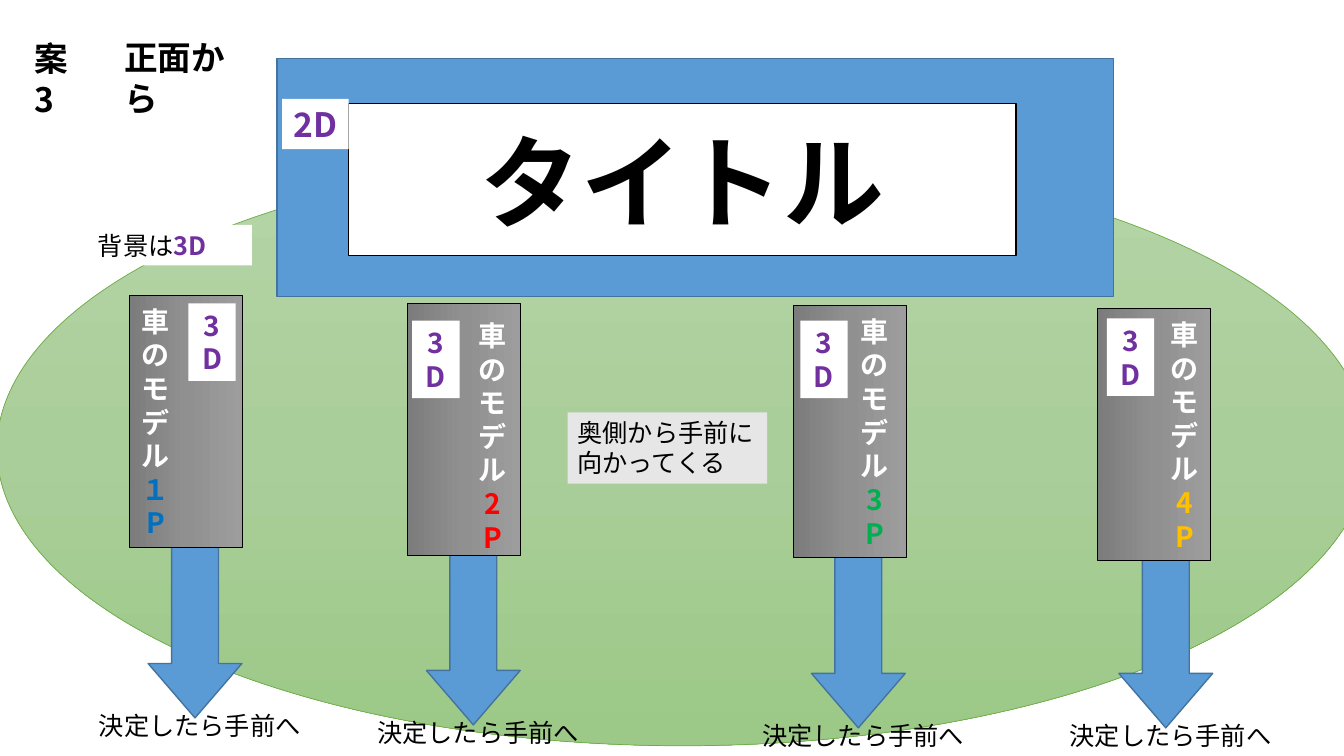
from lxml import etree
from pptx import Presentation
from pptx.dml.color import RGBColor
from pptx.enum import shapes, text
from pptx.oxml.ns import qn
from pptx.util import Pt

FONT = "Noto Sans CJK JP"
BLACK, WHITE, PURPLE = "000000", "FFFFFF", "7030A0"
BLUE, BLUE_EDGE = "5B9BD5", "43739E"
LEFT, CENTER = text.PP_ALIGN.LEFT, text.PP_ALIGN.CENTER
KIND = shapes.MSO_SHAPE


def draw(kind, left, top, width, height, fills, edge=None, weight=1):
    """Add a preset shape; several fills make a gradient from top to bottom."""
    shape = slide.shapes.add_shape(kind, Pt(left), Pt(top), Pt(width), Pt(height))
    shape.shadow.inherit = False
    if len(fills) == 1:
        shape.fill.solid()
        shape.fill.fore_color.rgb = RGBColor.from_string(fills[0])
    else:
        shape.fill.gradient()
        shape.fill.gradient_angle = 270
        stops = shape.fill._fill._gradFill.find(qn("a:gsLst"))
        for stop in list(stops):
            stops.remove(stop)
        for i, value in enumerate(fills):
            position = str(100000 * i // (len(fills) - 1))
            stop = etree.SubElement(stops, qn("a:gs"), pos=position)
            etree.SubElement(stop, qn("a:srgbClr"), val=value)
    if edge:
        shape.line.color.rgb = RGBColor.from_string(edge)
        shape.line.width = Pt(weight)
    else:
        shape.line.fill.background()
    return shape


def write(shape, lines, size, color=BLACK, bold=False, align=CENTER,
          anchor=text.MSO_ANCHOR.TOP, accent=None):
    """Fill a shape with text; accent is a bold (text, colour) ending."""
    frame = shape.text_frame
    frame.word_wrap = True
    frame.auto_size = text.MSO_AUTO_SIZE.NONE
    frame.vertical_anchor = anchor
    frame.text = lines
    for paragraph in frame.paragraphs:
        paragraph.alignment = align
        paragraph.line_spacing = 1.0
        paragraph.space_before = Pt(0)
        font = paragraph.font
        font.size, font.bold, font.name = Pt(size), bold, FONT
        font.color.rgb = RGBColor.from_string(color)
        latin = paragraph._p.find(".//" + qn("a:latin"))
        latin.addnext(latin.makeelement(qn("a:ea"), typeface=FONT))
    if accent:
        ending = frame.paragraphs[-1].add_run()
        ending.text = accent[0]
        ending.font.bold = True
        ending.font.color.rgb = RGBColor.from_string(accent[1])


deck = Presentation()
deck.slide_width, deck.slide_height = Pt(960), Pt(540)
slide = deck.slides.add_slide(deck.slide_layouts[5])

# Heading: plan number and viewpoint, each wrapping in a narrow box
viewpoint = slide.shapes.title
viewpoint.left, viewpoint.top = Pt(81.4), Pt(23)
viewpoint.width, viewpoint.height = Pt(107.3), Pt(36)
plan = slide.shapes.add_textbox(Pt(17.3), Pt(23.8), Pt(55.4), Pt(36))
for heading, words in ((viewpoint, "正面から"), (plan, "案3")):
    write(heading, words, 24, bold=True, align=LEFT)
    heading.text_frame.margin_right = Pt(16)

# Ground, title board and notes
draw(KIND.OVAL, -2.2, 108.7, 980, 424, ["B5D5A7", "AACE9A", "9CC987"], "70AD47", 0.5)
draw(KIND.RECTANGLE, 198, 41.6, 597.6, 170, [BLUE], BLUE_EDGE)
board = draw(KIND.RECTANGLE, 249.1, 74, 476.6, 108.7, [WHITE], BLACK)
write(board, "タイトル", 72, bold=True, anchor=text.MSO_ANCHOR.MIDDLE)
board_badge = draw(KIND.RECTANGLE, 201.6, 70.6, 47.5, 36, [WHITE])
write(board_badge, "2D", 24, PURPLE, True)
motion = draw(KIND.RECTANGLE, 405.4, 294.5, 142.6, 51, ["E7E6E6"])
write(motion, "奥側から手前に\n向かってくる", 18, align=LEFT)
backdrop = draw(KIND.RECTANGLE, 37.4, 160.6, 142.6, 29, [WHITE])
write(backdrop, "背景は", 18, accent=("3D", PURPLE))

# player, colour, then (left, top) of arrow, car, car name and 3D badge
players = [
    ("１P", "0070C0", (77, 417), (42.5, 260.6), (93.6, 213.8), (134.6, 216.7)),
    ("2P", "FF0000", (275.8, 422), (241.2, 266.4), (334.1, 223.9), (294.5, 229)),
    ("3P", "00B050", (550.8, 424.1), (517, 267.8), (607, 221), (571.7, 229)),
    ("4P", "FFC000", (770.4, 424.1), (734.4, 270), (828.7, 223.2), (790.6, 227.5)),
]
for player, color, arrow_at, car_at, name_at, badge_at in players:
    arrow = draw(KIND.RIGHT_ARROW, *arrow_at, 124.6, 67, [BLUE], BLUE_EDGE)
    arrow.adjustments[1] = 0.58
    arrow.rotation = 90
    decision = slide.shapes.add_textbox(
        Pt(arrow_at[0] - 13.4), Pt(arrow_at[1] + 86.7), Pt(185.8), Pt(29))
    write(decision, "決定したら手前へ", 18, align=LEFT)

    car = draw(KIND.RECTANGLE, *car_at, 180, 80.6,
               ["9D9D9D", "909090", "7C7C7C"], BLACK, 0.5)
    car.rotation = 90
    name = slide.shapes.add_textbox(*map(Pt, name_at), Pt(35.3), Pt(177))
    write(name, "車のモデル", 20, WHITE, True, accent=(player, color))
    badge = draw(KIND.RECTANGLE, *badge_at, 33.8, 55.4, [WHITE])
    write(badge, "3D", 20, PURPLE, True)

deck.save("out.pptx")
